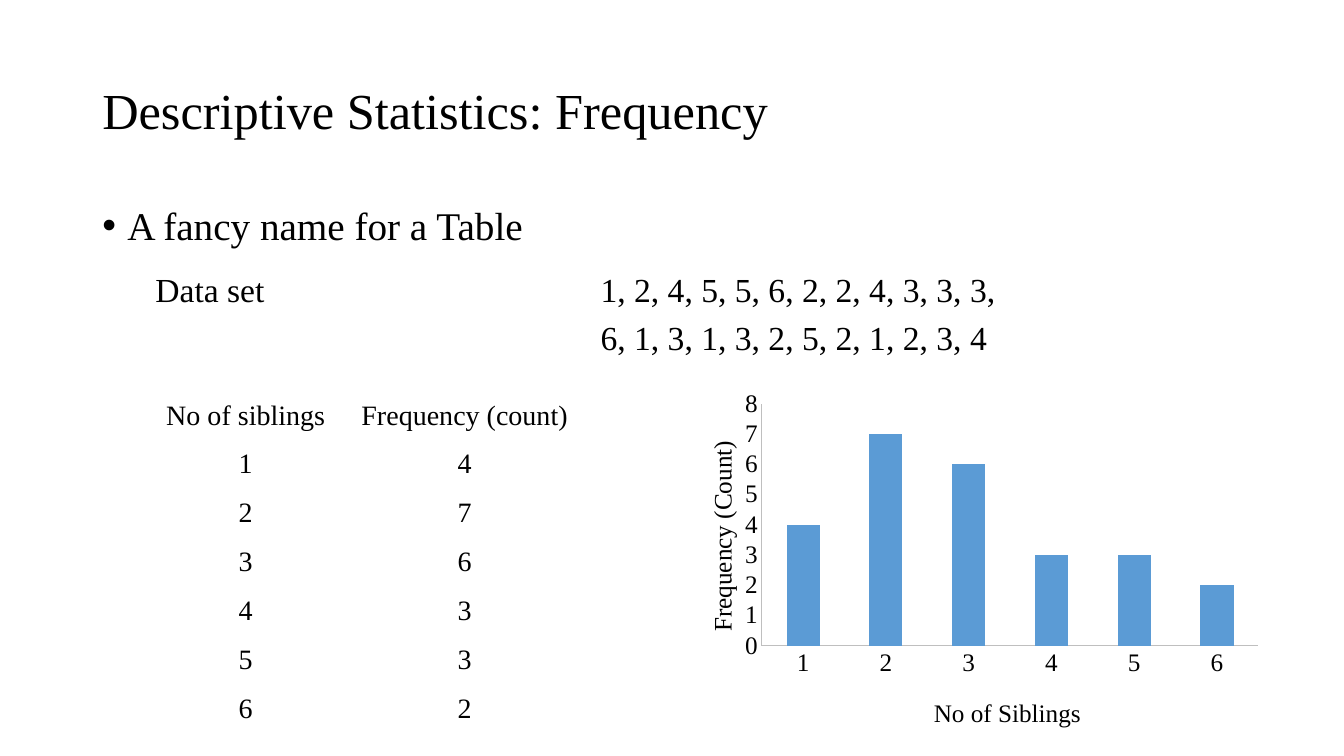
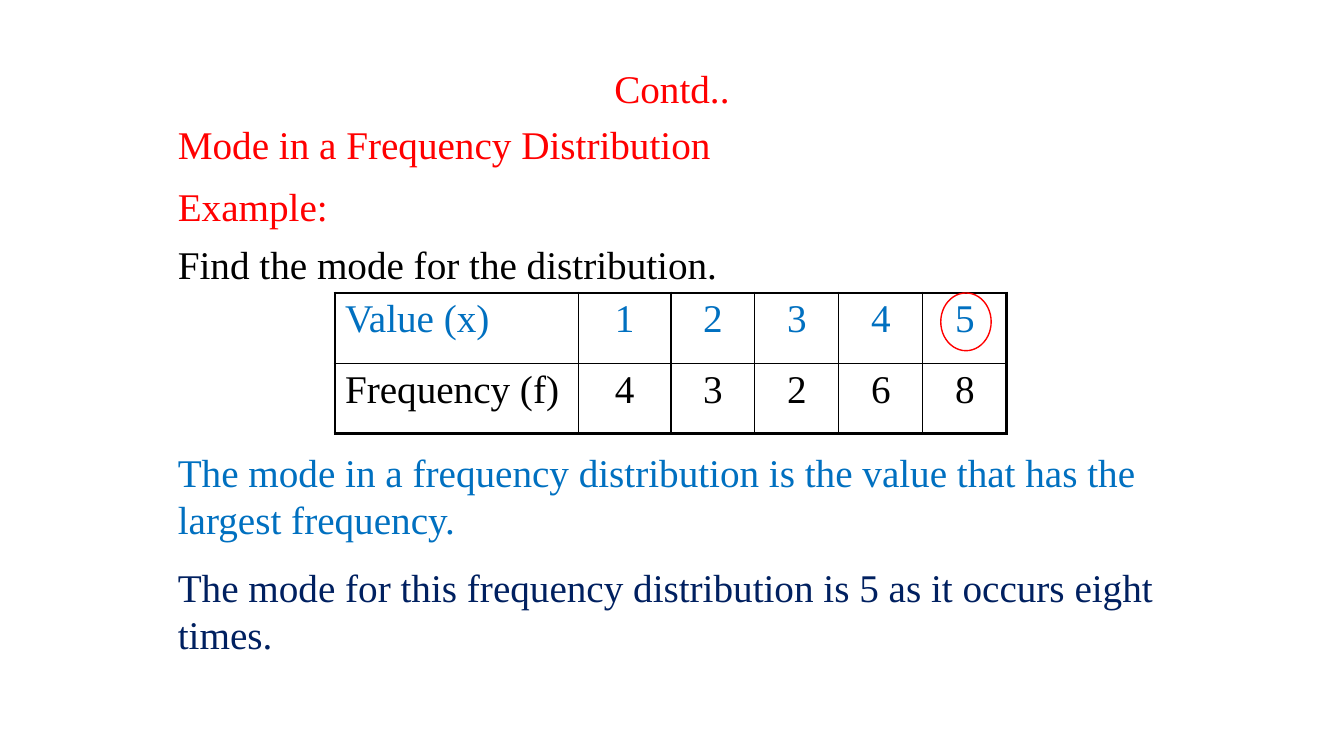
from lxml import etree
from pptx import Presentation
from pptx import util as u
from pptx.chart import data as chart_data
from pptx.dml.color import RGBColor
from pptx.enum import chart as charts, shapes, text
from pptx.oxml import ns, parse_xml

PX = 9525
FACE = "Times New Roman"
BLACK = RGBColor(0, 0, 0)
WHITE = RGBColor(255, 255, 255)
RED = RGBColor(255, 0, 0)
BLUE = RGBColor(0, 0x70, 0xC0)
NAVY = RGBColor(0, 0x20, 0x60)
BAR = RGBColor(0x5B, 0x9B, 0xD5)
GREY = RGBColor(0xBF, 0xBF, 0xBF)
LEFT, CENTER = text.PP_ALIGN.LEFT, text.PP_ALIGN.CENTER
TOP, MIDDLE, BOTTOM = (text.MSO_ANCHOR.TOP, text.MSO_ANCHOR.MIDDLE,
                       text.MSO_ANCHOR.BOTTOM)


def px(*lengths):
    return [u.Emu(round(length * PX)) for length in lengths]


def style(font, size, color):
    font.name = FACE
    font.size = u.Pt(size)
    font.bold = False
    font.color.rgb = color


def add_text(page, box, words, size=28, color=BLACK, align=LEFT,
             anchor=MIDDLE, spacing=1.0):
    frame = page.shapes.add_textbox(*px(*box)).text_frame
    frame.word_wrap = True
    frame.vertical_anchor = anchor
    para = frame.paragraphs[0]
    para.text = words
    para.alignment = align
    para.line_spacing = spacing
    style(para.font, size, color)
    return para


def add_bullet(para, indent):
    props = para._p.get_or_add_pPr()
    props.set("marL", str(indent * PX))
    props.set("indent", str(-indent * PX))
    font = etree.SubElement(props, ns.qn("a:buFont"))
    font.set("typeface", "Arial")
    etree.SubElement(props, ns.qn("a:buChar")).set("char", "•")
    props.append(props.find(ns.qn("a:defRPr")))


def set_borders(cell, widths, color):
    props = cell._tc.get_or_add_tcPr()
    for place, (side, width) in enumerate(zip("LRTB", widths)):
        props.insert(place, parse_xml(
            f'<a:ln{side} {ns.nsdecls("a")} w="{u.Pt(width)}"><a:solidFill>'
            f'<a:srgbClr val="{color}"/></a:solidFill></a:ln{side}>'))


def add_table(page, origin, columns, row_height, rows, size, border,
              row_colors=None, aligns=None, outer=1, tight=True):
    count = len(rows)
    box = (*origin, sum(columns), row_height * count)
    table = page.shapes.add_table(count, len(columns), *px(*box)).table
    table.first_row = table.horz_banding = False
    for column, width in zip(table.columns, px(*columns)):
        column.width = width
    for r, values in enumerate(rows):
        table.rows[r].height = px(row_height)[0]
        for c, value in enumerate(values):
            cell = table.cell(r, c)
            cell.text = value
            para = cell.text_frame.paragraphs[0]
            para.alignment = aligns[c] if aligns else LEFT
            style(para.font, size, row_colors[r] if row_colors else BLACK)
            cell.fill.solid()
            cell.fill.fore_color.rgb = WHITE
            if tight:
                cell.vertical_anchor = BOTTOM
                cell.margin_left = cell.margin_right = cell.margin_top = px(1)[0]
                cell.margin_bottom = 0
            edges = (c == 0, c == len(columns) - 1, r == 0, r == count - 1)
            set_borders(cell, [outer if edge else 1 for edge in edges], border)


def place_by_hand(parent, before, target="", **fractions):
    for old in parent.findall(ns.qn("c:layout")):
        parent.remove(old)
    inner = f'<c:layoutTarget val="{target}"/>' if target else ""
    modes = "".join(f'<c:{key}Mode val="edge"/>' for key in "xy")
    sizes = "".join(f'<c:{key} val="{value}"/>'
                    for key, value in fractions.items())
    layout = parse_xml(f'<c:layout {ns.nsdecls("c")}><c:manualLayout>'
                       f'{inner}{modes}{sizes}</c:manualLayout></c:layout>')
    parent.insert(before, layout)


def style_axis(axis, title, x, y):
    axis.has_major_gridlines = False
    axis.major_tick_mark = charts.XL_TICK_MARK.NONE
    axis.minor_tick_mark = charts.XL_TICK_MARK.NONE
    axis.format.line.color.rgb = GREY
    axis.format.line.width = u.Pt(0.75)
    style(axis.tick_labels.font, 18, BLACK)
    para = axis.axis_title.text_frame.paragraphs[0]
    para.text = title
    style(para.font, 18, BLACK)
    place_by_hand(axis.axis_title._element, 1, x=x, y=y)


def add_sibling_chart(page, box, counts):
    source = chart_data.CategoryChartData()
    source.categories = list(counts)
    source.add_series("Series 1", list(counts.values()))
    chart = page.shapes.add_chart(charts.XL_CHART_TYPE.COLUMN_CLUSTERED,
                                  *px(*box), source).chart
    chart.has_legend = chart.has_title = False
    style(chart.font, 18, BLACK)
    plot = chart.plots[0]
    plot.gap_width = 150
    plot.vary_by_categories = False
    fill = plot.series[0].format.fill
    fill.solid()
    fill.fore_color.rgb = BAR
    style_axis(chart.category_axis, "No of Siblings", 0.43, 0.86)
    style_axis(chart.value_axis, "Frequency (Count)", 0.05, 0.15)
    chart.value_axis.minimum_scale = 0
    chart.value_axis.maximum_scale = 8
    chart.value_axis.major_unit = 1
    area = chart._chartSpace.find(".//" + ns.qn("c:plotArea"))
    place_by_hand(area, 0, "inner", x=0.15, y=0.06, w=0.83, h=0.67)


def add_ring(page, box):
    ring = page.shapes.add_shape(shapes.MSO_SHAPE.OVAL, *px(*box))
    ring.shadow.inherit = False
    ring.fill.background()
    ring.line.color.rgb = RED
    ring.line.width = u.Pt(1)


def frequency_slide(page):
    add_text(page, (88, 38, 1104, 139), "Descriptive Statistics: Frequency",
             36, spacing=0.9)
    para = add_text(page, (88, 192, 1104, 457), "A fancy name for a Table",
                    anchor=TOP, spacing=0.9)
    add_bullet(para, 24)
    add_table(page, (147, 249), (424, 548), 46,
              [("Data set", "1, 2, 4, 5, 5, 6, 2, 2, 4, 3, 3, 3,"),
               ("", "6, 1, 3, 1, 3, 2, 5, 2, 1, 2, 3, 4")], 24, WHITE)
    counts = {"1": 4, "2": 7, "3": 6, "4": 3, "5": 3, "6": 2}
    rows = [("No of siblings", "Frequency (count)")]
    rows += [(siblings, str(count)) for siblings, count in counts.items()]
    add_table(page, (143, 364), (182, 235), 46.6, rows, 20, WHITE,
              aligns=[CENTER] * 2)
    add_sibling_chart(page, (640, 364, 570, 344), counts)


def mode_slide(page):
    left, width, line = 160, 960, 56
    add_text(page, (left, 56, width, line), "Contd..", color=RED, align=CENTER)
    add_text(page, (left, 112, width, line),
             "Mode in a Frequency Distribution", color=RED, spacing=0.9)
    add_text(page, (left, 168, width, line), "Example:", color=RED)
    add_text(page, (left, 224, width, line),
             "Find the mode for the distribution.", anchor=TOP)
    add_table(page, (319, 279), (232, 88, 80, 80, 80, 80), 67,
              [("Value (x)", *"12345"), ("Frequency (f)", *"43268")],
              28, BLACK, (BLUE, BLACK), [LEFT] + [CENTER] * 5, 2.25, False)
    add_text(page, (left, 424, width, 96),
             "The mode in a frequency distribution is the value that has "
             "the largest frequency.", color=BLUE)
    add_text(page, (left, 532, width, 100),
             "The mode for this frequency distribution is 5 as it occurs "
             "eight times.", color=NAVY, anchor=TOP)
    add_ring(page, (896, 279, 48, 55))


def main():
    deck = Presentation()
    deck.slide_width, deck.slide_height = px(1280, 720)
    for build in (frequency_slide, mode_slide):
        build(deck.slides.add_slide(deck.slide_layouts[6]))
    deck.save("out.pptx")


if __name__ == "__main__":
    main()
